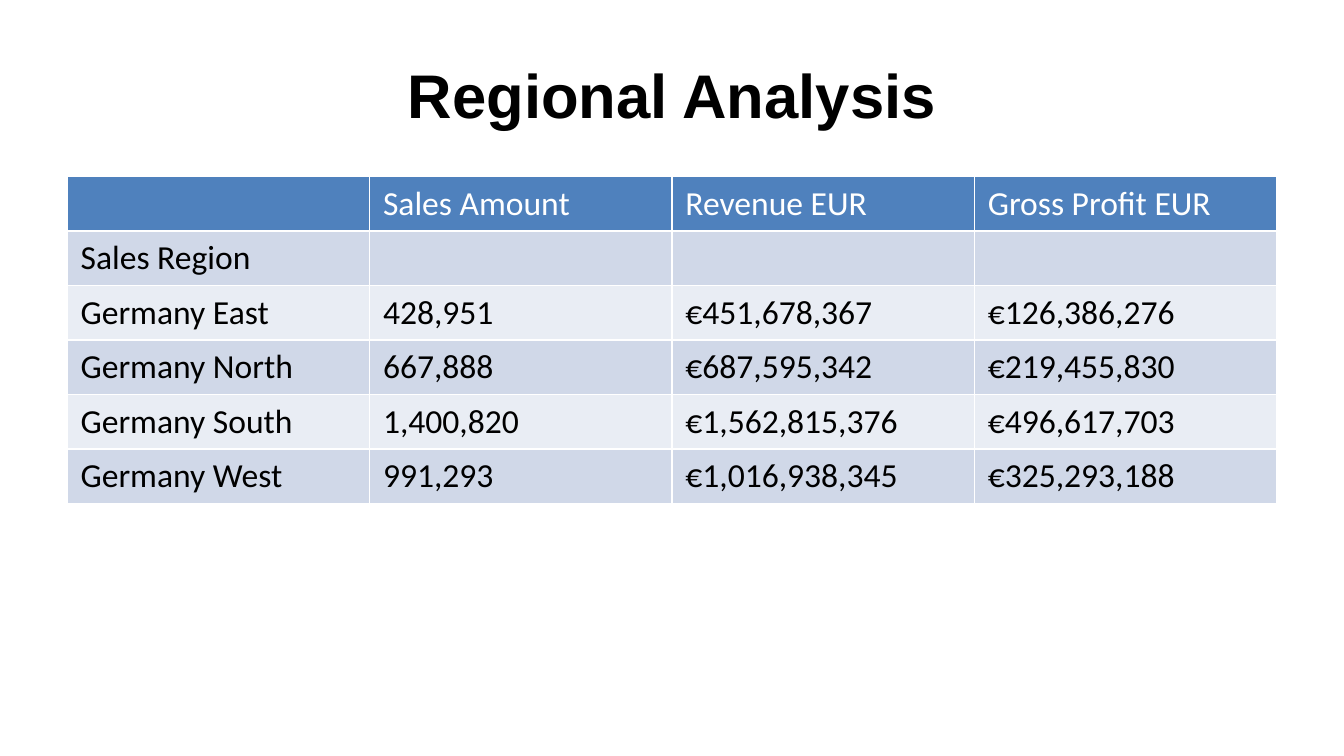
import pptx
import pptx.dml.color
import pptx.enum.text
import pptx.oxml
import pptx.oxml.ns
import pptx.util

Pt = pptx.util.Pt

ROWS = [
    ("", "Sales Amount", "Revenue EUR", "Gross Profit EUR"),
    ("Sales Region", "", "", ""),
    ("Germany East", "428,951", "€451,678,367", "€126,386,276"),
    ("Germany North", "667,888", "€687,595,342", "€219,455,830"),
    ("Germany South", "1,400,820", "€1,562,815,376", "€496,617,703"),
    ("Germany West", "991,293", "€1,016,938,345", "€325,293,188"),
]
HEAD, DARK, LIGHT = "4F81BD", "D0D8E8", "E9EDF4"
BLACK, WHITE = "000000", "FFFFFF"


def paint(target, color):
    """Give a fill or a font a solid colour from a hex string."""
    if hasattr(target, "solid"):
        target.solid()
        target = target.fore_color
    else:
        target = target.color
    target.rgb = pptx.dml.color.RGBColor.from_string(color)


def write(para, text, face, size, color, bold=False):
    """Add one formatted run to a paragraph."""
    run = para.add_run()
    run.text = text
    run.font.name = face
    run.font.size = Pt(size)
    run.font.bold = bold
    paint(run.font, color)


def edge(cell, color, width):
    """Draw a solid line on all four sides of a cell."""
    props = cell._tc.get_or_add_tcPr()
    for side in "LRTB":
        props.append(pptx.oxml.parse_xml(
            f'<a:ln{side} {pptx.oxml.ns.nsdecls("a")} w="{Pt(width)}">'
            f'<a:solidFill><a:srgbClr val="{color}"/></a:solidFill>'
            f'</a:ln{side}>'))


def add_title(slide, text, left, top, width, height):
    """Move the title placeholder into its box and fill it."""
    title = slide.shapes.title
    title.left, title.top = Pt(left), Pt(top)
    title.width, title.height = Pt(width), Pt(height)
    frame = title.text_frame
    frame.vertical_anchor = pptx.enum.text.MSO_ANCHOR.MIDDLE
    para = frame.paragraphs[0]
    para.alignment = pptx.enum.text.PP_ALIGN.CENTER
    write(para, text, "Arial", 33, BLACK, True)


def add_grid(slide, rows, left, top, width, height):
    """Place the sales table with a header and banded rows."""
    frame = slide.shapes.add_table(
        len(rows), len(rows[0]), Pt(left), Pt(top), Pt(width), Pt(height))
    for i, row in enumerate(rows):
        fill = HEAD if i == 0 else DARK if i % 2 else LIGHT
        ink = BLACK if i else WHITE
        for j, text in enumerate(row):
            cell = frame.table.cell(i, j)
            edge(cell, WHITE, 1)
            paint(cell.fill, fill)
            if text:
                para = cell.text_frame.paragraphs[0]
                write(para, text, "Calibri", 18, ink)


def main():
    """Build the slide and save it."""
    deck = pptx.Presentation()
    deck.slide_width, deck.slide_height = Pt(720), Pt(405)
    slide = deck.slides.add_slide(deck.slide_layouts[5])
    paint(slide.background.fill, WHITE)
    add_title(slide, "Regional Analysis", 36, 16.5, 648, 67.5)
    add_grid(slide, ROWS, 36, 94.5, 648, 174.6)
    deck.save("out.pptx")


if __name__ == "__main__":
    main()
